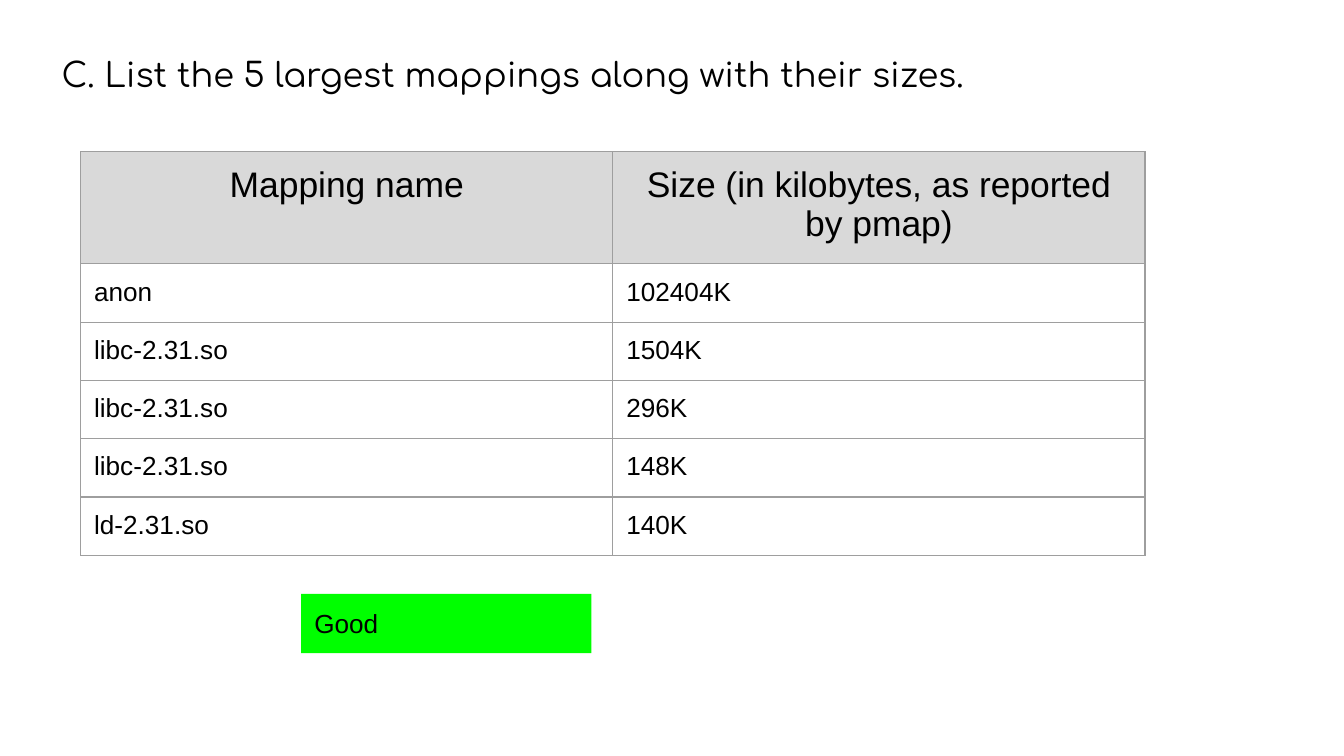
from dataclasses import dataclass

from lxml import etree
from pptx import Presentation, util as u
from pptx.dml.color import RGBColor
from pptx.enum import shapes, text
from pptx.oxml.ns import qn


@dataclass(frozen=True)
class Theme:
    ink: str = "000000"
    header_fill: str = "D9D9D9"
    border: str = "9E9E9E"
    verdict_fill: str = "00FF00"
    title_font: str = "Comfortaa"
    body_font: str = "Arial"
    title_size: int = 18
    header_size: int = 19
    body_size: int = 14
    border_width: float = 0.75
    inset: float = 0.1


@dataclass(frozen=True)
class Box:
    """A rectangle given as shares of the slide's width and height."""
    left: float
    top: float
    width: float
    height: float

    def lengths(self) -> tuple[int, int, int, int]:
        return (u.Inches(self.left * WIDTH), u.Inches(self.top * HEIGHT),
                u.Inches(self.width * WIDTH), u.Inches(self.height * HEIGHT))


@dataclass(frozen=True)
class Mapping:
    name: str
    size: str


THEME = Theme()
WIDTH = 10
HEIGHT = WIDTH * 9 / 16
HEADER_ROW, BODY_ROW = 0.83 / HEIGHT, 0.43 / HEIGHT
HEADER = Mapping("Mapping name", "Size (in kilobytes, as reported by pmap)")
MAPPINGS = [
    Mapping("anon", "102404K"),
    Mapping("libc-2.31.so", "1504K"),
    Mapping("libc-2.31.so", "296K"),
    Mapping("libc-2.31.so", "148K"),
    Mapping("ld-2.31.so", "140K"),
]
TITLE_BOX = Box(0.036, 0.26 / HEIGHT, 0.912, 0.5 / HEIGHT)
TABLE_BOX = Box(0.06, 1.13 / HEIGHT, 0.792, HEADER_ROW + len(MAPPINGS) * BODY_ROW)
VERDICT_BOX = Box(0.224, 4.42 / HEIGHT, 0.216, 0.44 / HEIGHT)


def write(frame, wording: str, size: int, font: str = THEME.body_font,
          align=text.PP_ALIGN.LEFT) -> None:
    frame.text = wording
    frame.word_wrap = True
    paragraph = frame.paragraphs[0]
    paragraph.alignment = align
    for run in paragraph.runs:
        run.font.size = u.Pt(size)
        run.font.name = font
        run.font.color.rgb = RGBColor.from_string(THEME.ink)


def set_insets(holder) -> None:
    """Give a cell or a text frame the same margin on each side."""
    for side in ("left", "top", "right", "bottom"):
        setattr(holder, f"margin_{side}", u.Inches(THEME.inset))


def set_borders(cell) -> None:
    properties = cell._tc.get_or_add_tcPr()
    for position, side in enumerate(("a:lnL", "a:lnR", "a:lnT", "a:lnB")):
        line = etree.Element(qn(side), w=str(u.Pt(THEME.border_width)))
        fill = etree.SubElement(line, qn("a:solidFill"))
        etree.SubElement(fill, qn("a:srgbClr"), val=THEME.border)
        properties.insert(position, line)


def draw_title(slide, box: Box, wording: str) -> None:
    shape = slide.shapes.add_textbox(*box.lengths())
    write(shape.text_frame, wording, THEME.title_size, THEME.title_font)
    shape.text_frame.paragraphs[0].line_spacing = 1.15
    shape.text_frame.auto_size = text.MSO_AUTO_SIZE.SHAPE_TO_FIT_TEXT
    set_insets(shape.text_frame)


def draw_table(slide, box: Box, header: Mapping, mappings: list[Mapping]) -> None:
    records = [header, *mappings]
    table = slide.shapes.add_table(len(records), 2, *box.lengths()).table
    table.horz_banding = False
    for row, (record, table_row) in enumerate(zip(records, table.rows)):
        is_header = row == 0
        table_row.height = u.Inches((HEADER_ROW if is_header else BODY_ROW) * HEIGHT)
        for cell, wording in zip(table_row.cells, (record.name, record.size)):
            if is_header:
                cell.fill.solid()
                cell.fill.fore_color.rgb = RGBColor.from_string(THEME.header_fill)
                write(cell.text_frame, wording, THEME.header_size,
                      align=text.PP_ALIGN.CENTER)
                cell.text_frame.paragraphs[0].runs[0].font.bold = False
            else:
                cell.fill.background()
                write(cell.text_frame, wording, THEME.body_size)
            set_insets(cell)
            set_borders(cell)


def draw_verdict(slide, box: Box, wording: str) -> None:
    shape = slide.shapes.add_shape(shapes.MSO_SHAPE.RECTANGLE, *box.lengths())
    shape.shadow.inherit = False
    shape.fill.solid()
    shape.fill.fore_color.rgb = RGBColor.from_string(THEME.verdict_fill)
    shape.line.fill.background()
    write(shape.text_frame, wording, THEME.body_size)
    shape.text_frame.vertical_anchor = text.MSO_ANCHOR.TOP
    shape.text_frame.auto_size = text.MSO_AUTO_SIZE.SHAPE_TO_FIT_TEXT
    set_insets(shape.text_frame)


def main() -> None:
    presentation = Presentation()
    presentation.slide_width = u.Inches(WIDTH)
    presentation.slide_height = u.Inches(HEIGHT)
    slide = presentation.slides.add_slide(presentation.slide_layouts[6])
    draw_title(slide, TITLE_BOX, "C. List the 5 largest mappings along with their sizes.")
    draw_table(slide, TABLE_BOX, HEADER, MAPPINGS)
    draw_verdict(slide, VERDICT_BOX, "Good")
    presentation.save("out.pptx")


if __name__ == "__main__":
    main()
